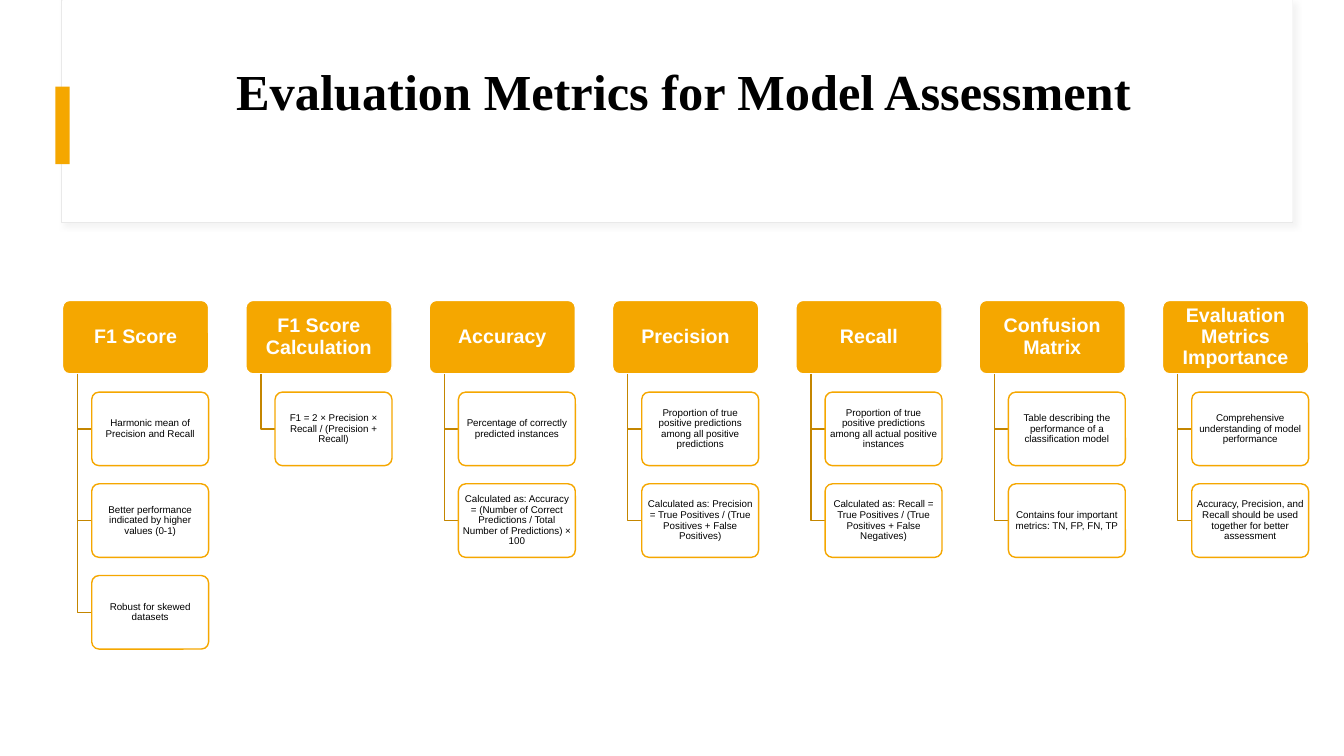
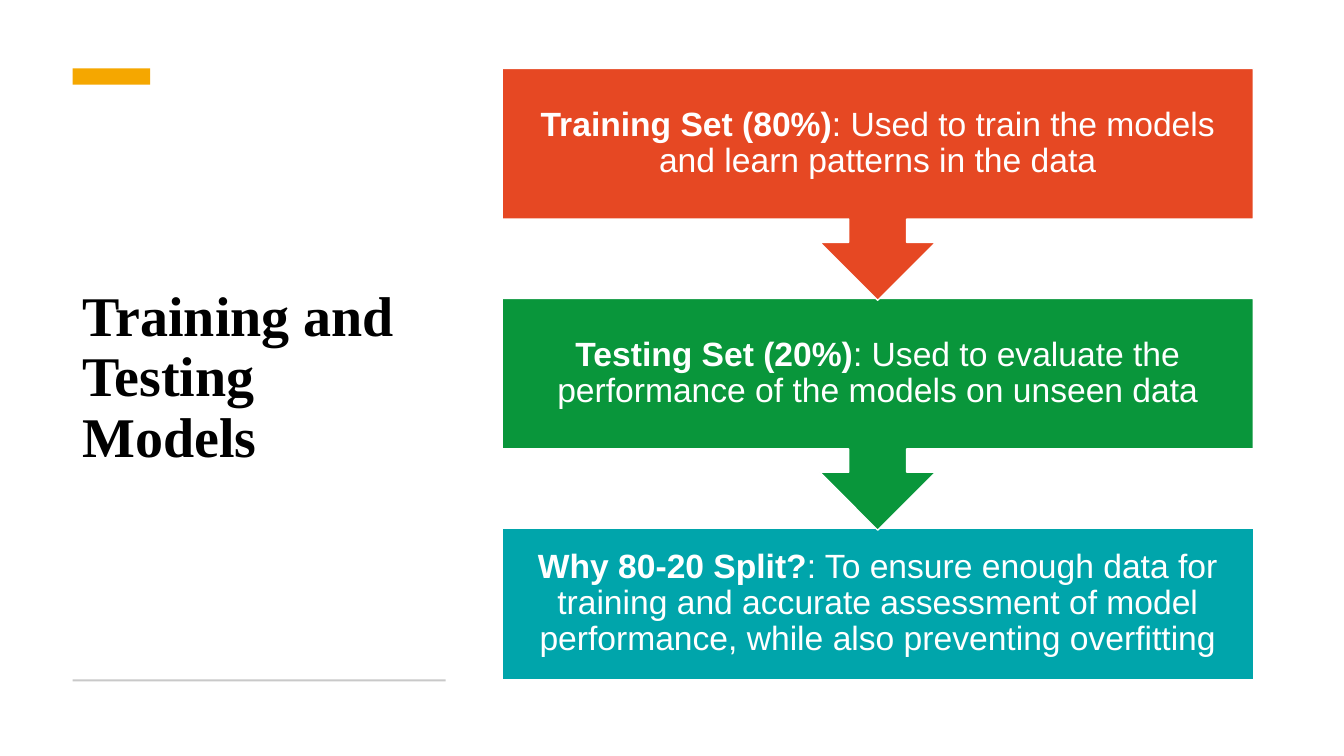
"""Build two slides on model evaluation metrics and the train/test split."""
from lxml import etree
from pptx import Presentation
from pptx.dml.color import RGBColor
from pptx.enum.shapes import MSO_SHAPE
from pptx.enum.text import MSO_ANCHOR, PP_ALIGN
from pptx.oxml.ns import qn
from pptx.util import Inches, Pt

RECT = MSO_SHAPE.RECTANGLE
ROUND_RECT = MSO_SHAPE.ROUNDED_RECTANGLE
ARROW_BOX = MSO_SHAPE.DOWN_ARROW_CALLOUT
MIDDLE = MSO_ANCHOR.MIDDLE
LEFT, CENTER = PP_ALIGN.LEFT, PP_ALIGN.CENTER

WHITE = RGBColor(0xFF, 0xFF, 0xFF)
BLACK = RGBColor(0x00, 0x00, 0x00)
AMBER = RGBColor(0xF5, 0xA7, 0x00)
DARK_AMBER = RGBColor(0xC4, 0x86, 0x00)
PALE_GREY = RGBColor(0xE9, 0xE9, 0xE9)
RULE_GREY = RGBColor(0xC9, 0xC9, 0xC9)
RED = RGBColor(0xE6, 0x48, 0x23)
GREEN = RGBColor(0x09, 0x96, 0x3B)
TEAL = RGBColor(0x00, 0xA5, 0xAB)

TITLE_FONT, BODY_FONT = "Times New Roman", "Arial"

METRICS = [
    ("F1 Score", ["Harmonic mean of Precision and Recall",
                  "Better performance indicated by higher values (0-1)",
                  "Robust for skewed datasets"]),
    ("F1 Score Calculation", ["F1 = 2 × Precision × Recall / (Precision + Recall)"]),
    ("Accuracy", ["Percentage of correctly predicted instances",
                  "Calculated as: Accuracy = (Number of Correct Predictions / "
                  "Total Number of Predictions) × 100"]),
    ("Precision", ["Proportion of true positive predictions among all positive predictions",
                   "Calculated as: Precision = True Positives / "
                   "(True Positives + False Positives)"]),
    ("Recall", ["Proportion of true positive predictions among all actual positive instances",
                "Calculated as: Recall = True Positives / "
                "(True Positives + False Negatives)"]),
    ("Confusion Matrix", ["Table describing the performance of a classification model",
                          "Contains four important metrics: TN, FP, FN, TP"]),
    ("Evaluation Metrics Importance", ["Comprehensive understanding of model performance",
                                       "Accuracy, Precision, and Recall should be used "
                                       "together for better assessment"]),
]
HEAD_LEFT, LAST_HEAD_LEFT, HEAD_TOP = 0.62, 11.53, 2.98
HEAD_W, DETAIL_W, BOX_H = 1.45, 1.16, 0.73
HEAD_PITCH = (LAST_HEAD_LEFT - HEAD_LEFT) / (len(METRICS) - 1)
ROW_PITCH, STEM_INDENT, DETAIL_INDENT = 0.91, 0.15, 0.29

STEPS = [
    ("Training Set (80%)", ": Used to train the models and learn patterns in the data", RED),
    ("Testing Set (20%)", ": Used to evaluate the performance of the models on unseen data",
     GREEN),
    ("Why 80-20 Split?", ": To ensure enough data for training and accurate assessment of "
     "model performance, while also preventing overfitting", TEAL),
]
STEP_LEFT, STEP_TOP, STEP_W, STEP_PITCH = 4.98, 0.68, 7.45, 2.28
STEP_H, ARROW_STEP_H = 1.5, 2.3


def add_box(slide, kind, x, y, w, h, fill, line=None, weight=1):
    """Add a filled preset shape without a shadow."""
    sp = slide.shapes.add_shape(kind, Inches(x), Inches(y), Inches(w), Inches(h))
    sp.shadow.inherit = False
    sp.fill.solid()
    sp.fill.fore_color.rgb = fill
    if line is None:
        sp.line.fill.background()
    else:
        sp.line.color.rgb = line
        sp.line.width = Pt(weight)
    return sp


def write(sp, runs, font, size, color, align=CENTER, margins=(0.1, 0.05)):
    """Write one paragraph of (text, bold) runs, centred vertically."""
    tf = sp.text_frame
    tf.word_wrap = True
    tf.vertical_anchor = MIDDLE
    tf.margin_left = tf.margin_right = Inches(margins[0])
    tf.margin_top = tf.margin_bottom = Inches(margins[1])
    p = tf.paragraphs[0]
    p.alignment = align
    p.line_spacing = 0.9
    for text, bold in runs:
        r = p.add_run()
        r.text = text
        r.font.name = font
        r.font.size = Pt(size)
        r.font.bold = bold
        r.font.color.rgb = color


def add_title(slide, text, x, y, w, h, size, align):
    """Add the bold serif title."""
    sp = slide.shapes.add_textbox(Inches(x), Inches(y), Inches(w), Inches(h))
    write(sp, [(text, True)], TITLE_FONT, size, BLACK, align)


def add_soft_shadow(sp):
    """Give a shape a faint grey shadow to the lower right."""
    effects = sp._element.spPr.find(qn("a:effectLst"))
    shadow = etree.SubElement(effects, qn("a:outerShdw"), blurRad=str(Pt(4)),
                              dist=str(Pt(3)), dir="2700000", algn="tl", rotWithShape="0")
    color = etree.SubElement(shadow, qn("a:srgbClr"), val="D9D9D9")
    etree.SubElement(color, qn("a:alpha"), val="30000")


def add_banner(slide):
    """Add the outlined title panel with its accent bar."""
    add_soft_shadow(add_box(slide, RECT, 0.61, 0, 12.21, 2.21, WHITE, PALE_GREY, 0.75))
    add_box(slide, RECT, 0.62, 0, 12.2, 2.2, WHITE)
    add_box(slide, RECT, 0.55, 0.86, 0.14, 0.77, AMBER)


def add_elbow(slide, x, y, end_x, end_y):
    """Draw a line down and then across to a detail box."""
    builder = slide.shapes.build_freeform(Inches(x), Inches(y))
    builder.add_line_segments([(Inches(x), Inches(end_y)), (Inches(end_x), Inches(end_y))],
                              close=False)
    sp = builder.convert_to_shape()
    sp.shadow.inherit = False
    sp.fill.background()
    sp.line.color.rgb = DARK_AMBER
    sp.line.width = Pt(1)


def add_node(slide, x, y, w, fill, line, text, size, color, bold, margins):
    """Add a rounded box of the metric hierarchy."""
    sp = add_box(slide, ROUND_RECT, x, y, w, BOX_H, fill, line)
    sp.adjustments[0] = 0.1
    write(sp, [(text, bold)], BODY_FONT, size, color, margins=margins)


def add_metric(slide, x, name, details):
    """Add a metric heading with its details hanging below."""
    add_node(slide, x, HEAD_TOP, HEAD_W, AMBER, WHITE, name, 14, WHITE, True, (0.03, 0.02))
    detail_x = x + DETAIL_INDENT
    for row, detail in enumerate(details, 1):
        y = HEAD_TOP + row * ROW_PITCH
        add_elbow(slide, x + STEM_INDENT, HEAD_TOP + BOX_H, detail_x, y + BOX_H / 2)
        add_node(slide, detail_x, y, DETAIL_W, WHITE, AMBER, detail, 7, BLACK, False,
                 (0.01, 0.01))


def add_step(slide, index):
    """Add one step box, with an arrow unless it is the last."""
    label, text, fill = STEPS[index]
    is_last = index == len(STEPS) - 1
    kind, height = (RECT, STEP_H) if is_last else (ARROW_BOX, ARROW_STEP_H)
    sp = add_box(slide, kind, STEP_LEFT, STEP_TOP + index * STEP_PITCH, STEP_W, height,
                 fill, WHITE)
    write(sp, [(label, True), (text, False)], BODY_FONT, 24, WHITE, margins=(0.19, 0.19))


def build_metrics(slide):
    """Build the evaluation metrics slide."""
    add_banner(slide)
    add_title(slide, "Evaluation Metrics for Model Assessment", 1.22, 0.6, 11.12, 0.66, 36,
              CENTER)
    for col, (name, details) in enumerate(METRICS):
        add_metric(slide, HEAD_LEFT + col * HEAD_PITCH, name, details)


def build_split(slide):
    """Build the training and testing slide."""
    add_title(slide, "Training and Testing Models", 0.72, 1.05, 3.7, 5.41, 40, LEFT)
    add_box(slide, RECT, 0.72, 0.68, 0.77, 0.16, AMBER)
    add_box(slide, RECT, 0.72, 6.74, 3.7, 0.02, RULE_GREY)
    for index in reversed(range(len(STEPS))):
        add_step(slide, index)


def main():
    """Create and save the presentation."""
    prs = Presentation()
    prs.slide_width, prs.slide_height = Inches(13.33), Inches(7.5)
    for build in (build_metrics, build_split):
        build(prs.slides.add_slide(prs.slide_layouts[6]))
    prs.save("out.pptx")


if __name__ == "__main__":
    main()
